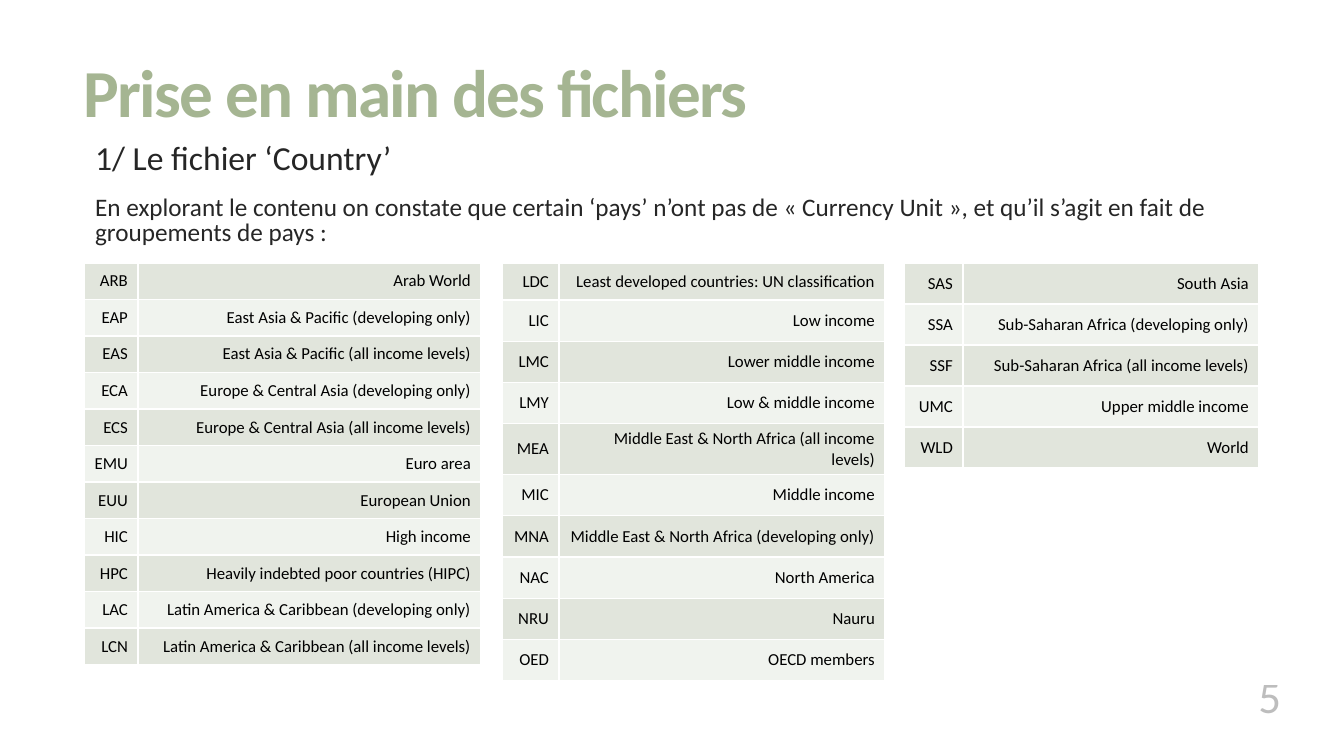
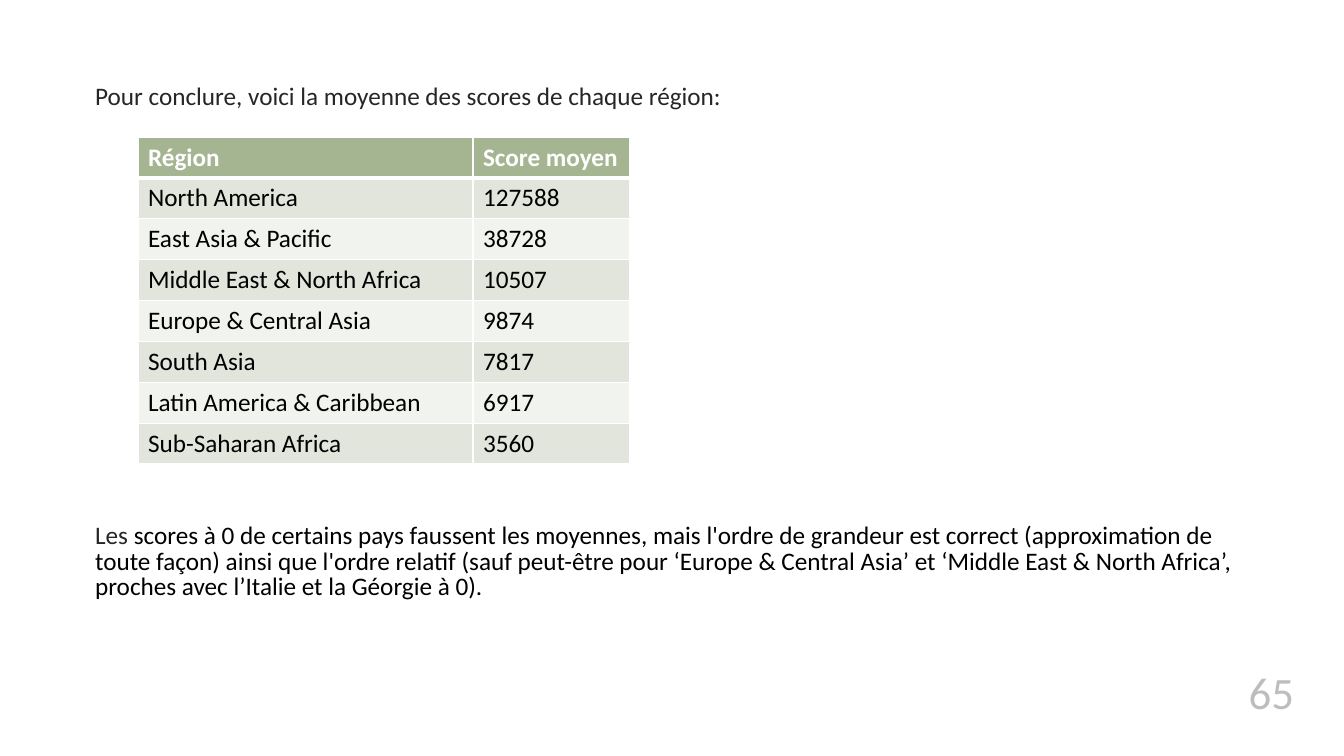
from lxml.etree import SubElement
from pptx import Presentation
from pptx.dml.color import RGBColor
from pptx.enum.text import MSO_ANCHOR, MSO_AUTO_SIZE, PP_ALIGN
from pptx.oxml.ns import qn
from pptx.util import Emu, Pt

PX = 914400 / 100.8
FONT = "Calibri"
GREEN, DARK, BLACK, WHITE = "A5B592", "262626", "000000", "FFFFFF"
BANDS = ["E1E5DC", "F0F3EE"]


def px(*lengths):
    return [Emu(round(length * PX)) for length in lengths]


def add_run(paragraph, text, size, color, bold=False):
    run = paragraph.add_run()
    run.text = text
    run.font.name = FONT
    run.font.size = Pt(size)
    run.font.bold = bold
    run.font.color.rgb = RGBColor.from_string(color)
    return run


# Country groups, one list per table
groups_a = [
    ("ARB", "Arab World"),
    ("EAP", "East Asia & Pacific (developing only)"),
    ("EAS", "East Asia & Pacific (all income levels)"),
    ("ECA", "Europe & Central Asia (developing only)"),
    ("ECS", "Europe & Central Asia (all income levels)"),
    ("EMU", "Euro area"),
    ("EUU", "European Union"),
    ("HIC", "High income"),
    ("HPC", "Heavily indebted poor countries (HIPC)"),
    ("LAC", "Latin America & Caribbean (developing only)"),
    ("LCN", "Latin America & Caribbean (all income levels)"),
]
groups_l = [
    ("LDC", "Least developed countries: UN classification"),
    ("LIC", "Low income"),
    ("LMC", "Lower middle income"),
    ("LMY", "Low & middle income"),
    ("MEA", "Middle East & North Africa (all income levels)"),
    ("MIC", "Middle income"),
    ("MNA", "Middle East & North Africa (developing only)"),
    ("NAC", "North America"),
    ("NRU", "Nauru"),
    ("OED", "OECD members"),
]
groups_s = [
    ("SAS", "South Asia"),
    ("SSA", "Sub-Saharan Africa (developing only)"),
    ("SSF", "Sub-Saharan Africa (all income levels)"),
    ("UMC", "Upper middle income"),
    ("WLD", "World"),
]
scores = [
    ("Région", "Score moyen"),
    ("North America", "127588"),
    ("East Asia & Pacific", "38728"),
    ("Middle East & North Africa", "10507"),
    ("Europe & Central Asia", "9874"),
    ("South Asia", "7817"),
    ("Latin America & Caribbean", "6917"),
    ("Sub-Saharan Africa", "3560"),
]

# Body paragraphs: space before, size, runs of (text, colour)
# Tables: left, top, height, first row height, column widths, rows, header
pages = [
    {
        "title": "Prise en main des fichiers",
        "body_box": (75, 138, 1185, 529),
        "body": [
            (0, 24, [("1/ Le fichier ‘Country’", DARK)]),
            (13, 18, [("En explorant le contenu on constate que certain ‘pays’ n’ont pas "
                       "de « Currency Unit », et qu’il s’agit en fait de groupements "
                       "de pays :", DARK)]),
        ],
        "tables": [
            (84, 263, 402, None, (54, 343), groups_a, False),
            (502, 263, 412, 37, (57, 326), groups_l, False),
            (904, 263, 205, None, (59, 296), groups_s, False),
        ],
        "number": "5",
        "number_box": (980, 664, 311, 65),
        "number_anchor": MSO_ANCHOR.TOP,
    },
    {
        "title": None,
        "body_box": (75, 80, 1185, 597),
        "body": [
            (0, 18, [("Pour conclure, voici la moyenne des scores de chaque région:", DARK)]),
            (295, 18, [("Les", DARK),
                       (" scores à 0 de certains pays faussent les moyennes, mais l'ordre de "
                        "grandeur est correct (approximation de toute façon) ainsi que l'ordre "
                        "relatif (sauf peut-être pour ‘Europe & Central Asia’ et ‘Middle East & "
                        "North Africa’, proches avec l’Italie et la Géorgie à 0).", BLACK)]),
        ],
        "tables": [(138, 137, 327, None, (335, 157), scores, True)],
        "number": "65",
        "number_box": (966, 648, 338, 75),
        "number_anchor": MSO_ANCHOR.BOTTOM,
    },
]

prs = Presentation()
prs.slide_width, prs.slide_height = px(1344, 756)

for page in pages:
    slide = prs.slides.add_slide(prs.slide_layouts[1])

    # Title
    title = slide.shapes.title
    if page["title"]:
        title.left, title.top, title.width, title.height = px(73, 55, 1187, 84)
        title.text_frame.auto_size = MSO_AUTO_SIZE.NONE
        title.text_frame.vertical_anchor = MSO_ANCHOR.MIDDLE
        heading = title.text_frame.paragraphs[0]
        heading.alignment = PP_ALIGN.LEFT
        heading.line_spacing = 0.85
        run = add_run(heading, page["title"], 48, GREEN, True)
        run._r.get_or_add_rPr().set("spc", "-120")
    else:
        title._element.getparent().remove(title._element)

    # Body text
    body = slide.placeholders[1]
    body.left, body.top, body.width, body.height = px(*page["body_box"])
    body.text_frame.auto_size = MSO_AUTO_SIZE.NONE
    for index, (space, size, runs) in enumerate(page["body"]):
        frame = body.text_frame
        paragraph = frame.add_paragraph() if index else frame.paragraphs[0]
        properties = paragraph._p.get_or_add_pPr()
        properties.set("marL", "91440")
        properties.set("indent", "0")
        SubElement(properties, qn("a:buNone"))
        paragraph.line_spacing = 0.85
        paragraph.space_before = Pt(space)
        for text, color in runs:
            add_run(paragraph, text, size, color)

    # Tables
    for left, top, height, first_height, widths, rows, header in page["tables"]:
        table = slide.shapes.add_table(
            len(rows), len(widths), *px(left, top, sum(widths), height)).table
        table.first_row = header
        table.horz_banding = False
        for column, width in zip(table.columns, px(*widths)):
            column.width = width
        if first_height:
            table.rows[0].height = px(first_height)[0]
        for r, texts in enumerate(rows):
            is_head = header and r == 0
            for c, text in enumerate(texts):
                cell = table.cell(r, c)
                paragraph = cell.text_frame.paragraphs[0]
                if header:
                    add_run(paragraph, text, 18, WHITE if is_head else BLACK, is_head)
                else:
                    cell.vertical_anchor = MSO_ANCHOR.MIDDLE
                    paragraph.alignment = PP_ALIGN.RIGHT
                    add_run(paragraph, text, 12, BLACK)

                # White borders, thicker under the header
                cell_properties = cell._tc.get_or_add_tcPr()
                for side in ("lnL", "lnR", "lnT", "lnB"):
                    under_head = header and (r, side) in ((0, "lnB"), (1, "lnT"))
                    line = SubElement(cell_properties, qn("a:" + side),
                                      w=str(Pt(3 if under_head else 1)))
                    SubElement(SubElement(line, qn("a:solidFill")),
                               qn("a:srgbClr"), val=WHITE)
                cell.fill.solid()
                band = GREEN if is_head else BANDS[(r - header) % 2]
                cell.fill.fore_color.rgb = RGBColor.from_string(band)

    # Page number, three quarters transparent
    number = slide.shapes.add_textbox(*px(*page["number_box"])).text_frame
    number.word_wrap = True
    number.vertical_anchor = page["number_anchor"]
    number.paragraphs[0].alignment = PP_ALIGN.RIGHT
    run = add_run(number.paragraphs[0], page["number"], 32, BLACK)
    SubElement(run._r.rPr.find(".//" + qn("a:srgbClr")), qn("a:alpha"), val="25000")

prs.save("out.pptx")
